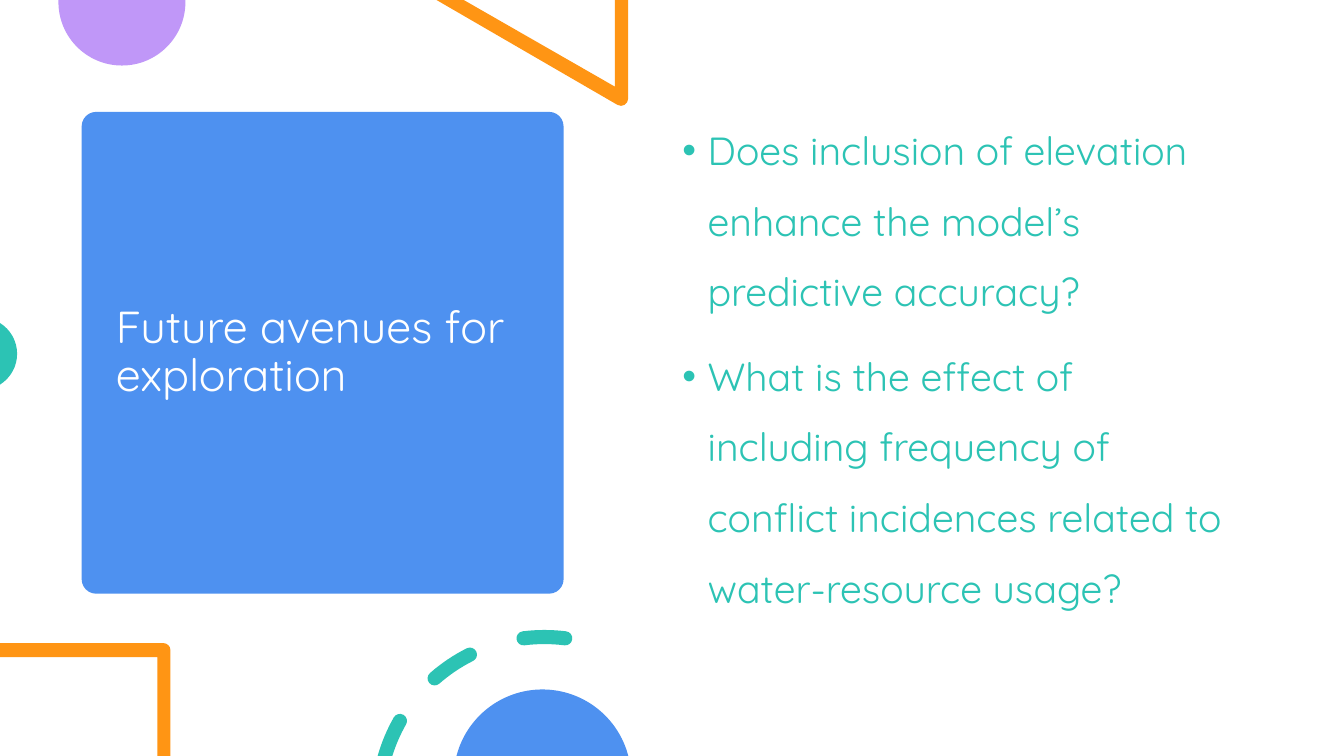
import math

from lxml import etree
from pptx import Presentation
from pptx import util as u
from pptx.dml.color import RGBColor
from pptx.enum import shapes, text
from pptx.oxml.ns import qn

FONT = "Quicksand"
WHITE, BLUE, TEAL = "FFFFFF", "4E91F0", "2CC3B4"
PURPLE, ORANGE = "C097F8", "FF9514"
SLIDE_WIDTH, SLIDE_HEIGHT = 13.33, 7.5
QUESTIONS = [
    "Does inclusion of elevation enhance the model’s predictive accuracy?",
    "What is the effect of including frequency of conflict incidences "
    "related to water-resource usage?",
]


def color(value):
    return RGBColor.from_string(value)


def paint(shape, fill):
    shape.shadow.inherit = False
    shape.fill.solid()
    shape.fill.fore_color.rgb = color(fill)
    shape.line.fill.background()


def arc(center_x, center_y, radius, start, end):
    pieces = math.ceil(round(abs(end - start), 3) / 90)
    step = math.radians(end - start) / pieces
    reach = 4 / 3 * math.tan(step / 4)

    def point(angle, tangent=0):
        return (center_x + radius * (math.cos(angle) - tangent * math.sin(angle)),
                center_y + radius * (math.sin(angle) + tangent * math.cos(angle)))

    angles = [math.radians(start) + step * i for i in range(pieces + 1)]
    curves = [point(a, reach) + point(b, -reach) + point(b)
              for a, b in zip(angles, angles[1:])]
    return [point(angles[0])] + curves


def ring_dash(center_x, center_y, radius, cap, outer_start, inner_start, end):
    def end_cap(angle, turn):
        x = center_x + radius * math.cos(math.radians(angle))
        y = center_y + radius * math.sin(math.radians(angle))
        return arc(x, y, cap, turn, turn + 180)[1:]

    outline = (arc(center_x, center_y, radius + cap, outer_start, end)
               + end_cap(end, end)
               + arc(center_x, center_y, radius - cap, end, inner_start)[1:])
    if outer_start == inner_start:
        outline += end_cap(outer_start, outer_start + 180)
    return outline


def bend_curves(path, steps):
    lines = iter(path.findall(qn("a:lnTo")))
    for step in steps:
        line = next(lines)
        if len(step) == 6:
            curve = etree.Element(qn("a:cubicBezTo"))
            line.addprevious(curve)
            for corner in (line, next(lines), next(lines)):
                curve.append(corner[0])
                path.remove(corner)


def add_outlines(slide, outlines, fill):
    builder = None
    for outline in outlines:
        start = [u.Inches(n) for n in outline[0]]
        if builder is None:
            builder = slide.shapes.build_freeform(*start, scale=1.0)
        else:
            builder.move_to(*start)
        lengths = [u.Inches(n) for step in outline[1:] for n in step]
        builder.add_line_segments(list(zip(lengths[::2], lengths[1::2])), close=True)
    shape = builder.convert_to_shape()
    path = next(shape._element.iter(qn("a:path")))
    bend_curves(path, [step for outline in outlines for step in outline[1:]])
    paint(shape, fill)


def add_panel(slide, kind, left, top, width, height, fill):
    shape = slide.shapes.add_shape(
        kind, *[u.Inches(n) for n in (left, top, width, height)])
    paint(shape, fill)
    return shape


def add_text(slide, left, top, width, height, anchor):
    box = slide.shapes.add_textbox(*[u.Inches(n) for n in (left, top, width, height)])
    frame = box.text_frame
    frame.word_wrap = True
    frame.vertical_anchor = anchor
    return frame


def write(paragraph, wording, size, fill, spacing):
    paragraph.line_spacing = spacing
    run = paragraph.add_run()
    run.text = wording
    run.font.name = FONT
    run.font.size = u.Pt(size)
    run.font.color.rgb = color(fill)


def add_bullet(paragraph):
    properties = paragraph._p.get_or_add_pPr()
    properties.set("marL", str(u.Inches(0.25)))
    properties.set("indent", str(u.Inches(-0.25)))
    etree.SubElement(properties, qn("a:buFont")).set("typeface", "Arial")
    etree.SubElement(properties, qn("a:buChar")).set("char", "•")


def add_questions(slide):
    frame = add_text(slide, 6.67, 0.97, 5.75, 5.35, text.MSO_ANCHOR.TOP)
    for index, question in enumerate(QUESTIONS):
        paragraph = frame.add_paragraph() if index else frame.paragraphs[0]
        write(paragraph, question, 28, TEAL, 1.5)
        paragraph.space_before = u.Pt(10)
        add_bullet(paragraph)


def main():
    presentation = Presentation()
    presentation.slide_width = u.Inches(SLIDE_WIDTH)
    presentation.slide_height = u.Inches(SLIDE_HEIGHT)
    slide = presentation.slides.add_slide(presentation.slide_layouts[6])

    kinds = shapes.MSO_SHAPE
    add_panel(slide, kinds.RECTANGLE, 0, 0, SLIDE_WIDTH, SLIDE_HEIGHT, WHITE)
    card = add_panel(slide, kinds.ROUNDED_RECTANGLE, 0.81, 1.11, 4.78, 4.78, BLUE)
    card.adjustments[0] = 0.03
    title = add_text(slide, 1.05, 1.22, 4.31, 4.56, text.MSO_ANCHOR.MIDDLE)
    write(title.paragraphs[0], "Future avenues for exploration", 32, WHITE, 0.9)

    add_outlines(slide, [arc(1.21, 0.02, 0.63, 0, 180) + [(0.58, 0), (1.84, 0)]], PURPLE)
    triangle = [(4.33, 0), (4.6, 0), (6.1, 0.86), (6.1, 0), (6.23, 0)]
    add_outlines(slide, [triangle + arc(6.16, 0.98, 0.07, 0, 120)], ORANGE)
    add_outlines(slide, [arc(-0.19, 3.51, 0.36, -58, 58)], TEAL)
    add_questions(slide)

    corner = [(1.69, 7.5), (1.56, 7.5), (1.56, 6.52), (0, 6.52), (0, 6.38)]
    add_outlines(slide, [corner + arc(1.62, 6.45, 0.07, 270, 360)], ORANGE)
    spans = [(195.86, 197.31, 209.7), (228.7, 228.7, 243.4), (262.8, 262.8, 277.2)]
    dashes = [ring_dash(5.4, 7.97, 1.65, 0.07, *span) for span in spans]
    add_outlines(slide, dashes, TEAL)
    add_outlines(slide, [arc(5.38, 7.72, 0.88, 194.5, 345.5)], BLUE)
    presentation.save("out.pptx")


if __name__ == "__main__":
    main()
